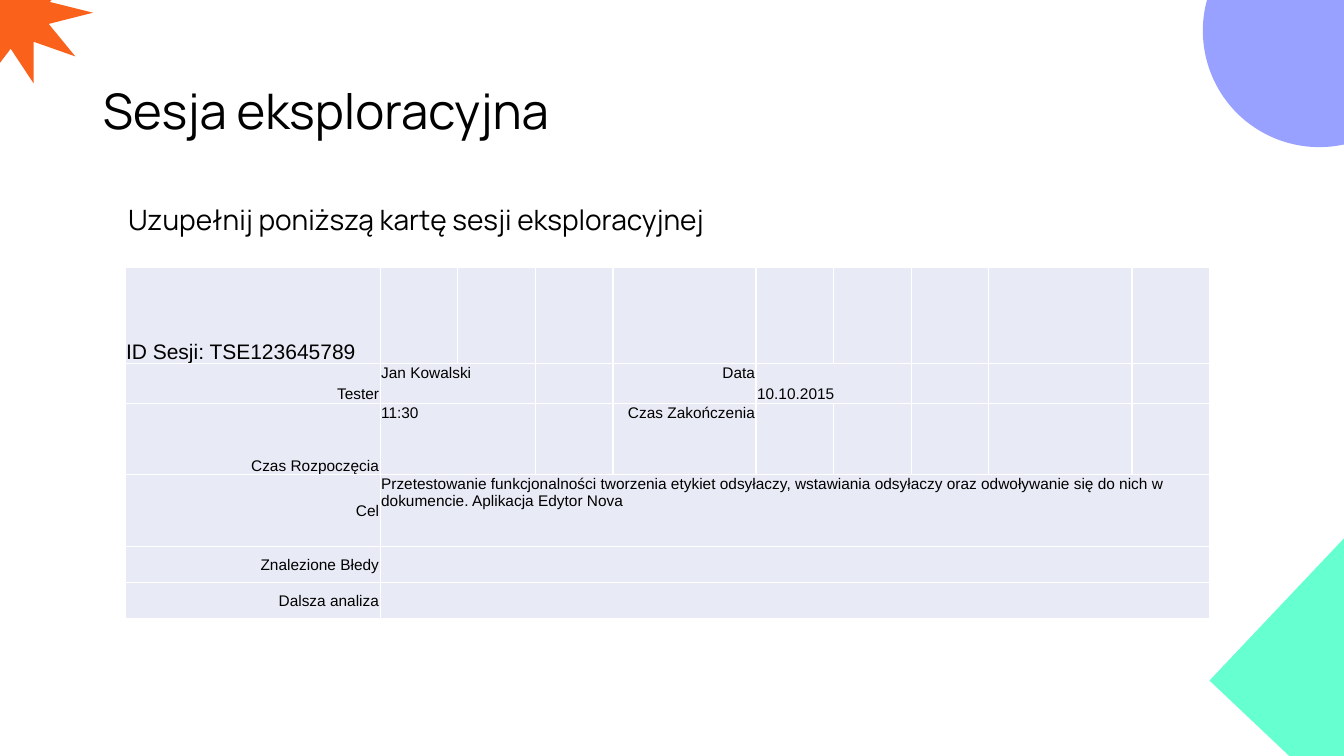
from dataclasses import dataclass

from lxml import etree
from pptx import Presentation
from pptx.dml import color
from pptx.enum import shapes, text
from pptx.oxml import ns
from pptx import util as u

PX = 9144  # EMU per px, 100 px to the inch
WHITE, BLACK, PALE = "FFFFFF", "000000", "E8EBF5"
LEFT, RIGHT = text.PP_ALIGN.LEFT, text.PP_ALIGN.RIGHT
TOP, MID, LOW = (text.MSO_ANCHOR.TOP, text.MSO_ANCHOR.MIDDLE,
                 text.MSO_ANCHOR.BOTTOM)
COLS = [253, 77, 77, 77, 142, 77, 77, 77, 142, 77]
ROWS = [96, 39, 71, 71, 36, 36]


@dataclass
class Decor:
    kind: shapes.MSO_SHAPE
    box: tuple[int, int, int, int]
    fill: str
    turn: float = 0
    adj: float | None = None


@dataclass
class Entry:
    row: int
    col: int
    words: str
    align: text.PP_ALIGN = LEFT
    anchor: text.MSO_ANCHOR = TOP
    span: int = 1
    size: int = 11


DECOR = [
    Decor(shapes.MSO_SHAPE.OVAL, (1193, -85, 231, 231), "98A1FF"),
    Decor(shapes.MSO_SHAPE.RECTANGLE, (1237, 492, 388, 270), "66FFD0", 313.4),
    Decor(shapes.MSO_SHAPE.STAR_10_POINT, (-64, -60, 153, 146), "FA611A",
          343.3, 0.24),
]

ENTRIES = [
    Entry(0, 0, "ID Sesji: TSE123645789", anchor=LOW, size=15),
    Entry(1, 0, "Tester", RIGHT, LOW),
    Entry(1, 1, "Jan Kowalski", span=2),
    Entry(1, 4, "Data", RIGHT),
    Entry(1, 5, "10.10.2015", anchor=LOW, span=2),
    Entry(2, 0, "Czas Rozpoczęcia", RIGHT, LOW),
    Entry(2, 1, "11:30", span=2),
    Entry(2, 4, "Czas Zakończenia", RIGHT),
    Entry(3, 0, "Cel", RIGHT, MID),
    Entry(3, 1, "Przetestowanie funkcjonalności tworzenia etykiet odsyłaczy, "
          "wstawiania odsyłaczy oraz odwoływanie się do nich w dokumencie. "
          "Aplikacja Edytor Nova", span=9),
    Entry(4, 0, "Znalezione Błedy", RIGHT, MID),
    Entry(4, 1, "", span=9),
    Entry(5, 0, "Dalsza analiza", RIGHT, MID),
    Entry(5, 1, "", span=9),
]


def rgb(code: str) -> color.RGBColor:
    return color.RGBColor.from_string(code)


def put(item, values: dict) -> None:
    for name, value in values.items():
        setattr(item, name, value)


def place(item, box: tuple[int, int, int, int]) -> None:
    sides = ("left", "top", "width", "height")
    put(item, {side: n * PX for side, n in zip(sides, box)})


def write(frame, words: str, font: str, size: int, align: text.PP_ALIGN):
    par = frame.paragraphs[0]
    par.alignment = align
    run = par.add_run()
    run.text = words
    put(run.font, {"name": font, "size": u.Pt(size), "bold": False})
    run.font.color.rgb = rgb(BLACK)
    return par


def draw(slide, part: Decor) -> None:
    shape = slide.shapes.add_shape(part.kind, *(n * PX for n in part.box))
    shape.fill.solid()
    shape.fill.fore_color.rgb = rgb(part.fill)
    shape.line.fill.background()
    shape.shadow.inherit = False
    shape.rotation = part.turn
    if part.adj is not None:
        shape.adjustments[0] = part.adj


def fill(holder, box: tuple[int, int, int, int], words: str, size: int,
         anchor: text.MSO_ANCHOR):
    place(holder, box)
    put(holder.text_frame, {"vertical_anchor": anchor, "word_wrap": True,
                            "auto_size": text.MSO_AUTO_SIZE.NONE})
    par = write(holder.text_frame, words, "Manrope", size, LEFT)
    par.line_spacing = 0.9
    return par


def edge(cell) -> None:
    props = cell._tc.get_or_add_tcPr()
    for i, side in enumerate(("lnL", "lnR", "lnT", "lnB")):
        line = etree.Element(ns.qn(f"a:{side}"), w=str(u.Pt(1)))
        solid = etree.SubElement(line, ns.qn("a:solidFill"))
        etree.SubElement(solid, ns.qn("a:srgbClr"), val=WHITE)
        props.insert(i, line)


def grid(slide):
    frame = slide.shapes.add_table(len(ROWS), len(COLS), 124 * PX, 265 * PX,
                                   sum(COLS) * PX, sum(ROWS) * PX)
    table = frame.table
    put(table, {"first_row": False, "horz_banding": False})
    for col, width in zip(table.columns, COLS):
        col.width = width * PX
    for row, height in zip(table.rows, ROWS):
        row.height = height * PX
    for cell in table.iter_cells():
        put(cell, {"margin_left": PX, "margin_right": PX,
                   "margin_top": PX, "margin_bottom": 0})
        cell.fill.solid()
        cell.fill.fore_color.rgb = rgb(PALE)
        edge(cell)
    return table


def enter(table, item: Entry) -> None:
    cell = table.cell(item.row, item.col)
    if item.span > 1:
        cell.merge(table.cell(item.row, item.col + item.span - 1))
    cell.vertical_anchor = item.anchor
    if item.words:
        write(cell.text_frame, item.words, "Arial", item.size, item.align)


def main() -> None:
    deck = Presentation()
    put(deck, {"slide_width": 1333 * PX, "slide_height": 750 * PX})
    slide = deck.slides.add_slide(deck.slide_layouts[1])

    # Corner decoration
    for part in DECOR:
        draw(slide, part)

    # Title and lead line
    fill(slide.shapes.title, (92, 40, 1089, 145), "Sesja eksploracyjna",
         35, MID)
    lead = fill(slide.placeholders[1], (92, 200, 1089, 476),
                "Uzupełnij poniższą kartę sesji eksploracyjnej", 20, TOP)
    lead.space_before = u.Pt(10)
    props = lead._p.get_or_add_pPr()
    props.set("marL", str(25 * PX))
    props.set("indent", "0")
    etree.SubElement(props, ns.qn("a:buNone"))

    # Session card
    table = grid(slide)
    for item in ENTRIES:
        enter(table, item)

    deck.save("out.pptx")


if __name__ == "__main__":
    main()
